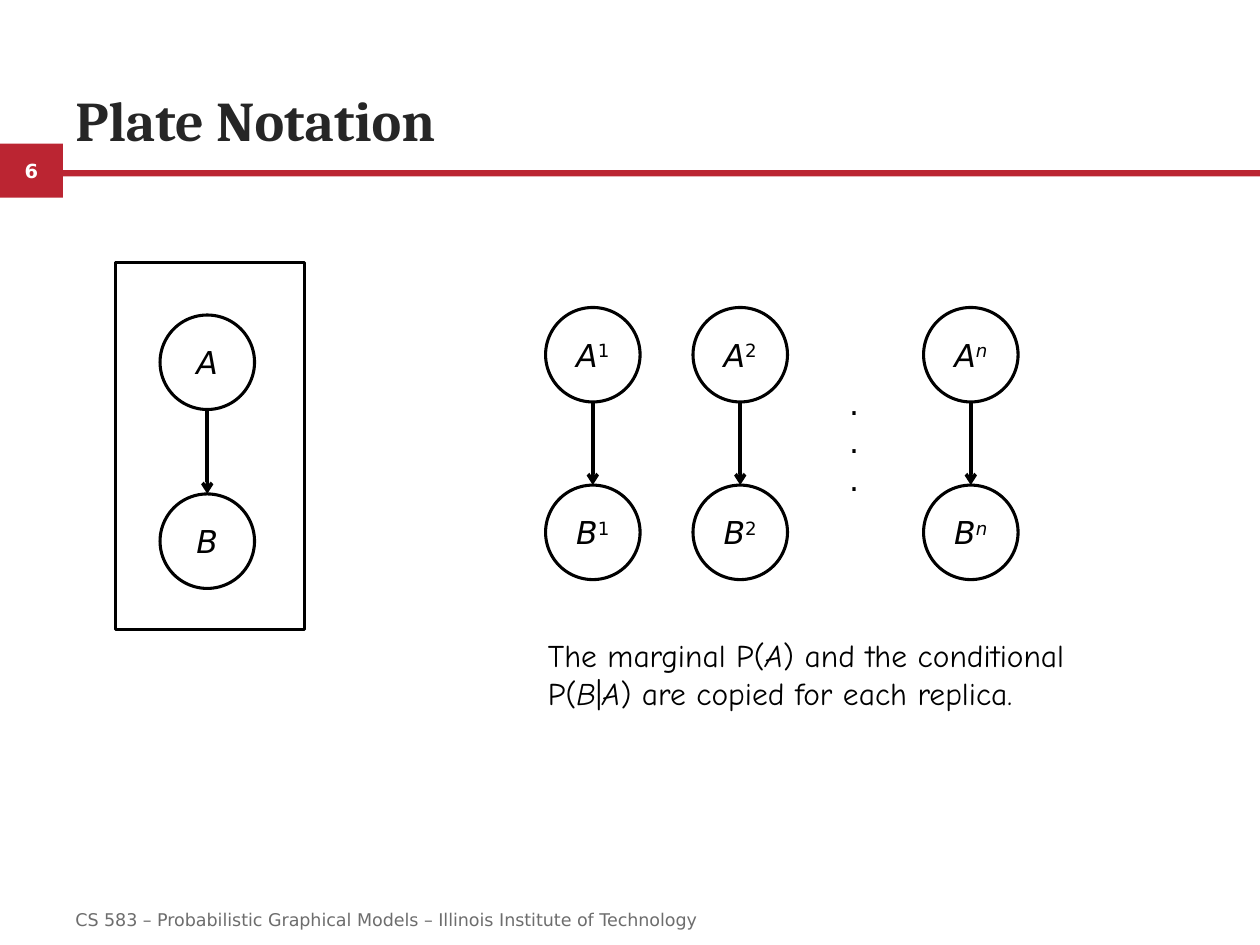
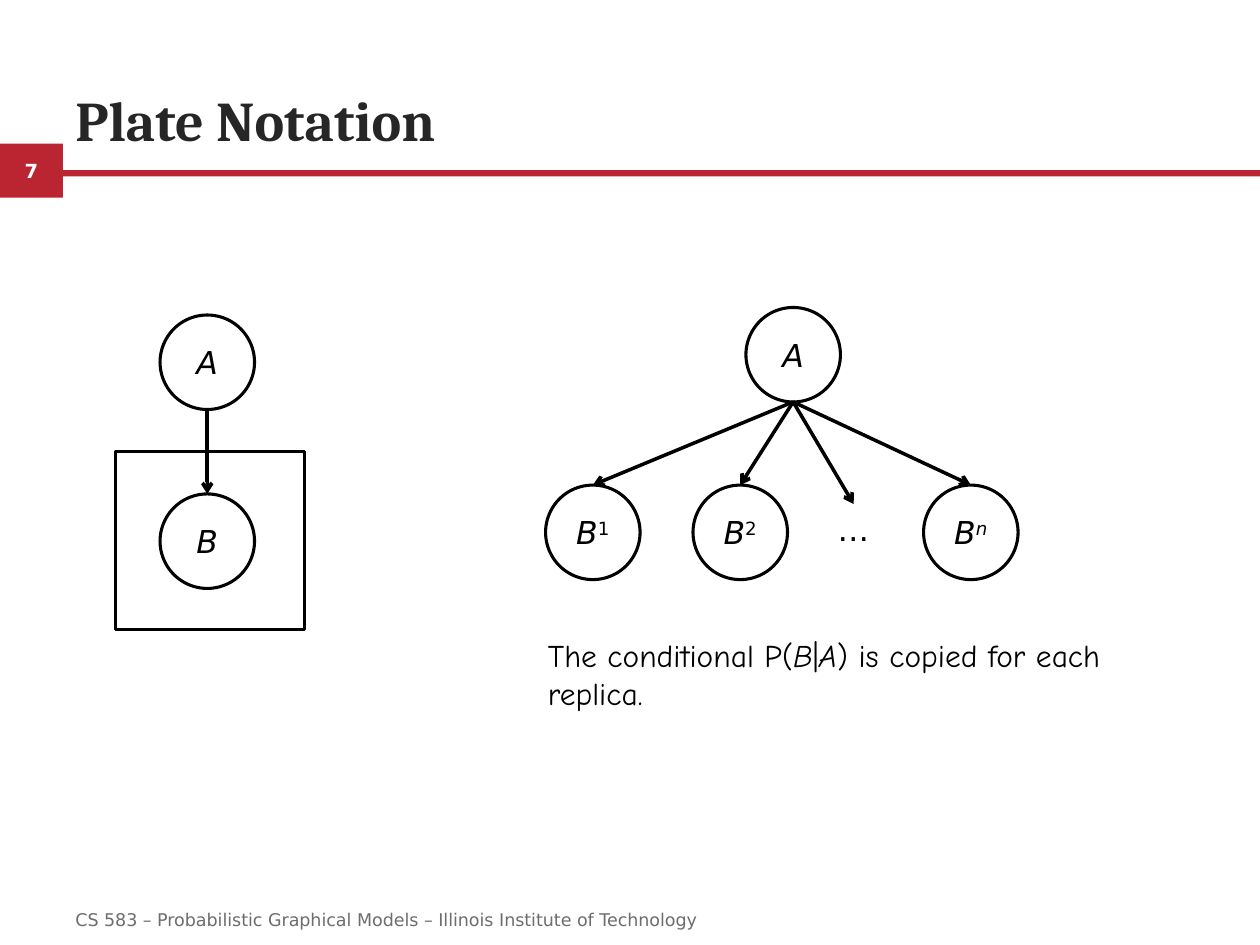
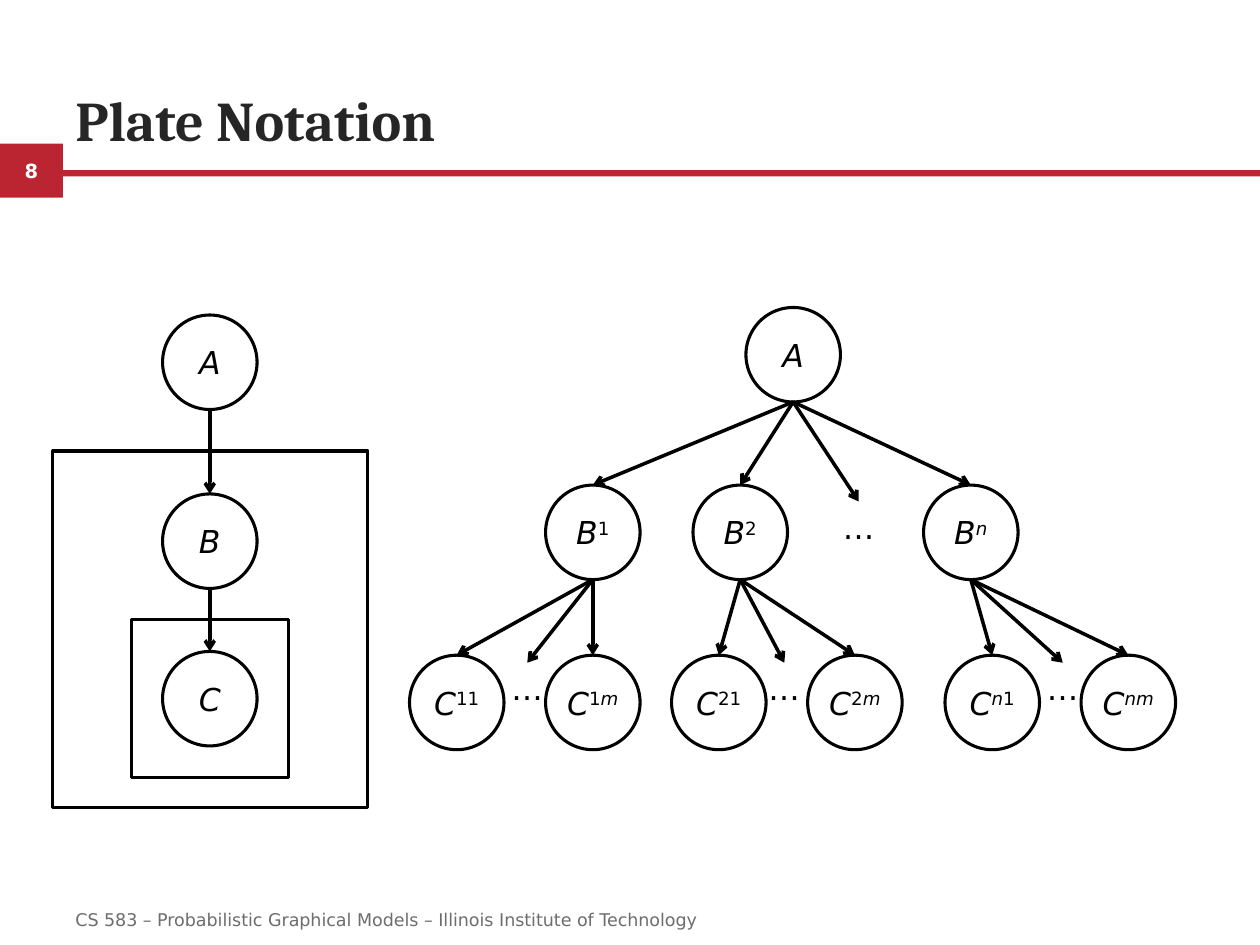
from lxml import etree
from pptx import Presentation
from pptx.dml.color import RGBColor
from pptx.enum.shapes import MSO_CONNECTOR, MSO_SHAPE
from pptx.enum.text import MSO_ANCHOR, PP_ALIGN
from pptx.oxml.ns import qn
from pptx.util import Inches, Pt

RECT, OVAL = MSO_SHAPE.RECTANGLE, MSO_SHAPE.OVAL
STRAIGHT = MSO_CONNECTOR.STRAIGHT
TOP, MIDDLE, BOTTOM = MSO_ANCHOR.TOP, MSO_ANCHOR.MIDDLE, MSO_ANCHOR.BOTTOM
LEFT, CENTER = PP_ALIGN.LEFT, PP_ALIGN.CENTER

COLORS = {"red": "BB2532", "title": "262626", "foot": "6D6D6D",
          "ink": "000000", "white": "FFFFFF"}
SANS, SERIF, HAND = "DejaVu Sans", "Cambria", "Comic Neue"
NODE = 0.75
FOOT = "CS 583 – Probabilistic Graphical Models – Illinois Institute of Technology"


def color(name):
    return RGBColor.from_string(COLORS[name])


def write(shape, text, font=SANS, size=18, ink="ink", bold=False,
          align=LEFT, anchor=TOP, wrap=True, inset=0.1):
    """Fill a shape; *...* is italic and all after ^ in a line is raised."""
    frame = shape.text_frame
    frame.word_wrap, frame.vertical_anchor = wrap, anchor
    frame.margin_left = frame.margin_right = Inches(inset)
    for row, line in enumerate(text.split("\n")):
        para = frame.add_paragraph() if row else frame.paragraphs[0]
        para.alignment = align
        base, _, power = line.partition("^")
        for part in (base, power):
            for i, bit in enumerate(part.split("*")):
                if not bit:
                    continue
                run = para.add_run()
                run.text = bit
                run.font.name, run.font.size = font, Pt(size)
                run.font.bold, run.font.italic = bold, i % 2 == 1
                run.font.color.rgb = color(ink)
                if part is power:
                    run.font._element.set("baseline", "30000")


def label(slide, box, text, **form):
    shape = slide.shapes.add_textbox(*map(Inches, box))
    write(shape, text, **form)
    return shape


def draw(slide, kind, box, fill=None):
    """Add a filled shape, or an outlined one if there is no fill."""
    shape = slide.shapes.add_shape(kind, *map(Inches, box))
    shape.shadow.inherit = False
    if fill:
        shape.fill.solid()
        shape.fill.fore_color.rgb = color(fill)
        shape.line.fill.background()
    else:
        shape.fill.background()
        shape.line.color.rgb = color("ink")
        shape.line.width = Pt(1.75)
    return shape


def node(slide, x, y, name):
    shape = draw(slide, OVAL, (x, y, NODE, NODE))
    write(shape, name, align=CENTER, anchor=MIDDLE, wrap=False, inset=0)
    return shape


def dots(slide, x, y):
    return label(slide, (x, y, 0.45, 0.4), "…", wrap=False)


def arrow(slide, start, end):
    """Point from the bottom of one shape to the top of another."""
    line = slide.shapes.add_connector(
        STRAIGHT, start.left + start.width // 2, start.top + start.height,
        end.left + end.width // 2, end.top)
    line.end_connect(end, 0)
    line.line.color.rgb = color("ink")
    line.line.width = Pt(2)
    etree.SubElement(line.line._get_or_add_ln(), qn("a:tailEnd"), type="arrow")
    etree.SubElement(line._element.spPr, qn("a:effectLst"))


def chain(slide, x, y, names, steps):
    """Stack nodes with arrows, each a step below the one before."""
    last = node(slide, x, y, names[0])
    for name, step in zip(names[1:], steps):
        y += step
        item = node(slide, x, y, name)
        arrow(slide, last, item)
        last = item


def fan(slide, root, kids):
    for kid in kids:
        arrow(slide, root, kid)


def tree(slide, x, y, dot):
    """Draw A over its replicas of B, and return the replicas."""
    root = node(slide, x + 1.59, y, "*A*")
    kids = [node(slide, x + dx, y + 1.41, f"*B*^{mark}")
            for dx, mark in COPIES]
    fan(slide, root, kids + [dots(slide, x + dot[0], y + dot[1])])
    return kids


def leaves(slide, root, mark, x, y, dot):
    """Draw the first and last C below one replica of B."""
    pair = [node(slide, x, y, f"*C*^{mark}1"),
            node(slide, x + 1.08, y, f"*C*^{mark}*m*".replace("**", ""))]
    fan(slide, root, pair + [dots(slide, x + dot, y + 0.06)])


def caption(slide, text):
    label(slide, (4.25, 5, 4.75, 0.71), text, font=HAND)


def page(deck, number):
    slide = deck.slides.add_slide(deck.slide_layouts[6])
    tab = draw(slide, RECT, (0, 1.14, 0.5, 0.43), "red")
    write(tab, str(number), size=11.1, ink="white", bold=True,
          align=CENTER, anchor=MIDDLE)
    draw(slide, RECT, (0.5, 1.35, 9.5, 0.05), "red")
    label(slide, (0.5, 0.38, 9, 0.88), "Plate Notation", font=SERIF,
          size=32, ink="title", bold=True, anchor=BOTTOM)
    label(slide, (0.5, 7.1, 8.17, 0.4), FOOT, size=10, ink="foot",
          anchor=MIDDLE)
    return slide


COPIES = [(0, "1"), (1.17, "2"), (3, "*n*")]
RIGHT = (4.33, 2.44)


def both(slide):
    """A and B are inside the plate."""
    chain(slide, 1.27, 2.5, ["*A*", "*B*"], [1.42])
    draw(slide, RECT, (0.92, 2.08, 1.5, 2.92))
    x, y = RIGHT
    for dx, mark in COPIES:
        chain(slide, x + dx, y, [f"*A*^{mark}", f"*B*^{mark}"], [1.41])
    label(slide, (6.64, 3, 0.27, 1.01), ".\n.\n.", wrap=False)
    caption(slide, "The marginal P(*A*) and the conditional P(*B*|*A*) "
                   "are copied for each replica.")


def single(slide):
    """Only B is inside the plate."""
    chain(slide, 1.27, 2.5, ["*A*", "*B*"], [1.42])
    draw(slide, RECT, (0.92, 3.58, 1.5, 1.42))
    tree(slide, *RIGHT, dot=(2.22, 1.56))
    caption(slide, "The conditional P(*B*|*A*) is copied for each replica.")


def nested(slide):
    """The plate of C is inside the plate of B."""
    chain(slide, 1.29, 2.5, ["*A*", "*B*", "*C*"], [1.42, 1.25])
    draw(slide, RECT, (0.42, 3.58, 2.5, 2.83))
    draw(slide, RECT, (1.04, 4.92, 1.25, 1.25))
    kids = tree(slide, *RIGHT, dot=(2.26, 1.54))
    spots = [(3.25, 0.71), (5.33, 0.67), (7.5, 0.71)]
    for kid, (_, mark), (x, dot) in zip(kids, COPIES, spots):
        leaves(slide, kid, mark, x, 5.2, dot)


def main():
    deck = Presentation()
    deck.slide_width, deck.slide_height = Inches(10), Inches(7.5)
    for number, build in enumerate((both, single, nested), 6):
        build(page(deck, number))
    deck.save("out.pptx")


if __name__ == "__main__":
    main()
